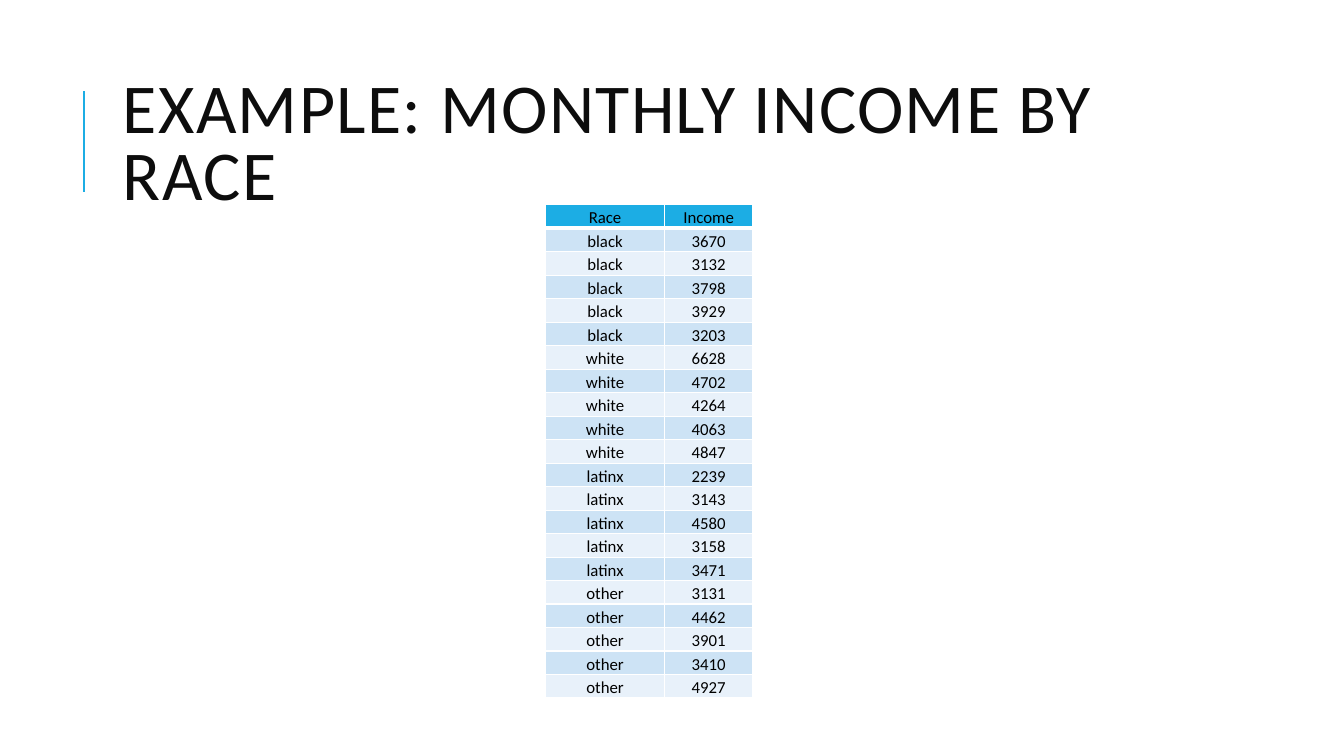
from lxml.etree import SubElement
from pptx import Presentation
from pptx.dml.color import RGBColor
from pptx.enum.shapes import MSO_CONNECTOR
from pptx.enum.text import MSO_ANCHOR, PP_ALIGN
from pptx.oxml.ns import qn
from pptx.util import Pt

ACCENT = RGBColor(0x1C, 0xAD, 0xE4)
BAND_DARK = RGBColor(0xCD, 0xE3, 0xF5)
BAND_LIGHT = RGBColor(0xE8, 0xF1, 0xFA)
INK = RGBColor(0x0D, 0x0D, 0x0D)
BLACK = RGBColor(0, 0, 0)
WHITE = RGBColor(0xFF, 0xFF, 0xFF)

INCOMES = {
    "black": [3670, 3132, 3798, 3929, 3203],
    "white": [6628, 4702, 4264, 4063, 4847],
    "latinx": [2239, 3143, 4580, 3158, 3471],
    "other": [3131, 4462, 3901, 3410, 4927],
}


def set_all(target, values):
    for name, value in values.items():
        setattr(target, name, value)


class SlideBuilder:
    font = "Calibri"
    cell_format = {
        "vertical_anchor": MSO_ANCHOR.BOTTOM,
        "margin_left": Pt(0.7),
        "margin_right": Pt(0.7),
        "margin_top": Pt(0.7),
        "margin_bottom": Pt(0),
    }

    def __init__(self, s):
        self.s = s

    def add_text(self, p, text, size, color):
        r = p.add_run()
        r.text = text
        set_all(r.font, {"name": self.font, "size": Pt(size)})
        r.font.color.rgb = color
        return r

    def line(self, x1, y1, x2, y2, color, width):
        sp = self.s.shapes.add_connector(
            MSO_CONNECTOR.STRAIGHT, Pt(x1), Pt(y1), Pt(x2), Pt(y2))
        sp.line.color.rgb = color
        sp.line.width = Pt(width)
        SubElement(sp._element.spPr, qn("a:effectLst"))

    def title(self, text, x, y, w, h):
        sp = self.s.shapes.add_textbox(Pt(x), Pt(y), Pt(w), Pt(h))
        tf = sp.text_frame
        set_all(tf, {"word_wrap": True, "vertical_anchor": MSO_ANCHOR.MIDDLE})
        p = tf.paragraphs[0]
        p.line_spacing = 0.8
        r = self.add_text(p, text, 50, INK)
        r._r.get_or_add_rPr().set("spc", "100")

    def border(self, cell, side, width):
        ln = SubElement(cell._tc.get_or_add_tcPr(), qn(f"a:ln{side}"), w=str(Pt(width)))
        fill = SubElement(ln, qn("a:solidFill"))
        SubElement(fill, qn("a:srgbClr"), val=str(WHITE))

    def cell(self, cell, text, fill, top, bottom):
        # Borders come before the fill in the cell properties
        for side, width in {"L": 1, "R": 1, "T": top, "B": bottom}.items():
            self.border(cell, side, width)
        cell.fill.solid()
        cell.fill.fore_color.rgb = fill
        set_all(cell, self.cell_format)
        p = cell.text_frame.paragraphs[0]
        p.alignment = PP_ALIGN.CENTER
        self.add_text(p, text, 12, BLACK)

    def table(self, rows, x, y, widths, row_height):
        table = self.s.shapes.add_table(
            len(rows), len(widths), Pt(x), Pt(y),
            Pt(sum(widths)), Pt(row_height * len(rows))).table
        for column, width in zip(table.columns, widths):
            column.width = Pt(width)
        for i, row in enumerate(rows):
            table.rows[i].height = Pt(row_height)
            fill = ACCENT if i == 0 else BAND_DARK if i % 2 else BAND_LIGHT
            for j, text in enumerate(row):
                self.cell(table.cell(i, j), text, fill,
                          top=3 if i == 1 else 1, bottom=3 if i == 0 else 1)


def main():
    prs = Presentation()
    set_all(prs, {"slide_width": Pt(960), "slide_height": Pt(540)})
    slide = SlideBuilder(prs.slides.add_slide(prs.slide_layouts[6]))

    # Title with its accent rule
    slide.line(60, 136.8, 60, 64.8, ACCENT, 1.5)
    slide.title("EXAMPLE: MONTHLY INCOME BY RACE", 80.64, 46.1, 765.4, 118.1)

    # Income table
    rows = [("Race", "Income")]
    rows += [(race, str(income)) for race, incomes in INCOMES.items() for income in incomes]
    slide.table(rows, 389.5, 146.2, [85.4, 62.6], 16.8)

    prs.save("out.pptx")


if __name__ == "__main__":
    main()
